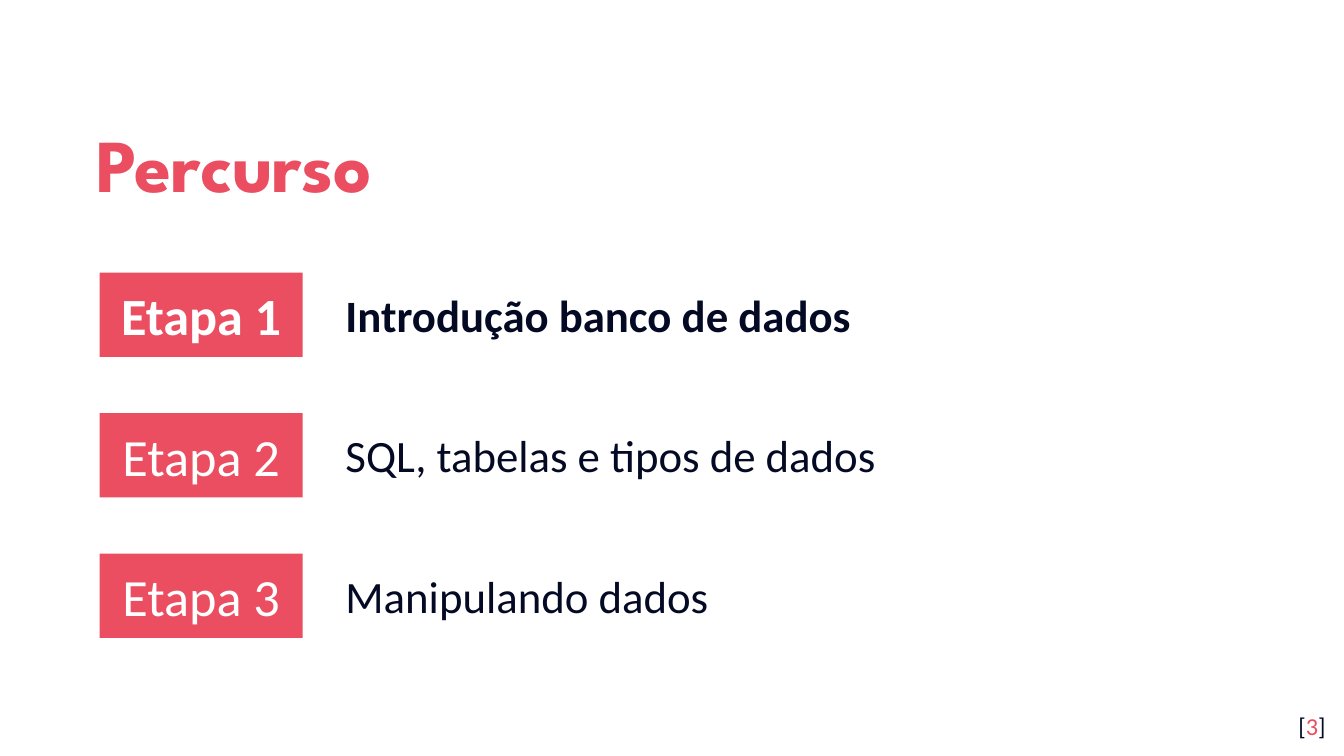
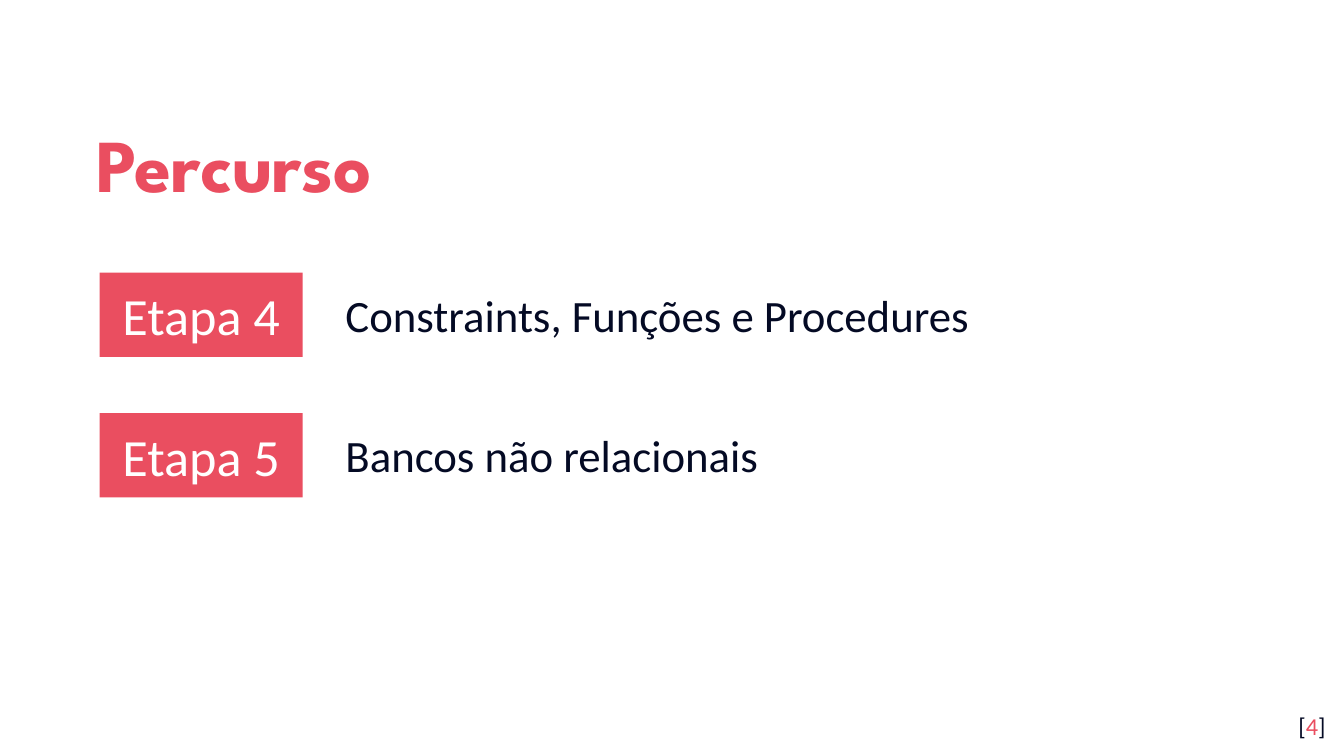
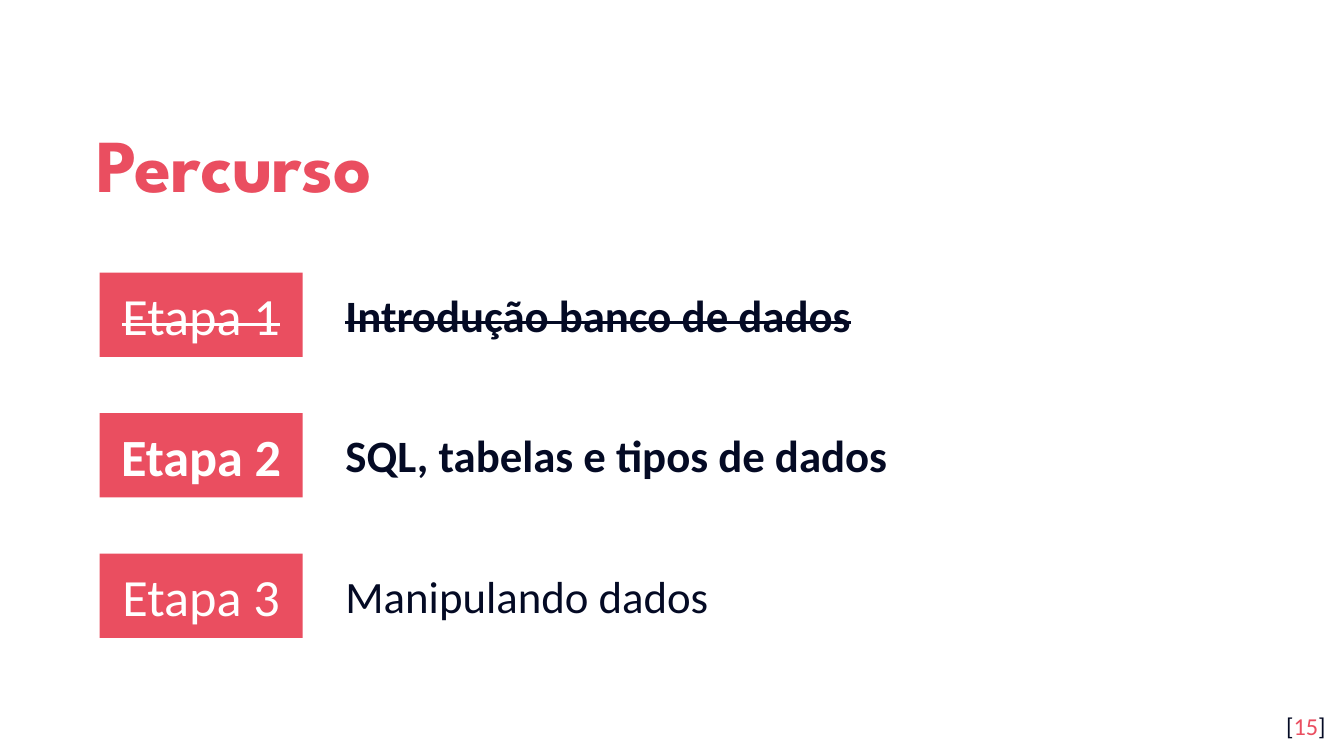
from collections import namedtuple

from pptx import Presentation
from pptx.dml.color import RGBColor
from pptx.enum import shapes, text
from pptx.util import Pt

CORAL, NAVY, WHITE = "EA4E60", "040A24", "FFFFFF"
BODY_FONT, TITLE_FONT = "Calibri", "League Spartan"
FIRST_ROW, ROW_PITCH = 146, 75.3

Step = namedtuple("Step", "number topic width bold_badge bold_topic strike",
                  defaults=(486, False, False, False))

SLIDES = [
    (3, [Step(1, "Introdução banco de dados", bold_badge=True, bold_topic=True),
         Step(2, "SQL, tabelas e tipos de dados", 511),
         Step(3, "Manipulando dados")]),
    (4, [Step(4, "Constraints, Funções e Procedures", 525.6),
         Step(5, "Bancos não relacionais", 511)]),
    (15, [Step(1, "Introdução banco de dados", bold_topic=True, strike=True),
          Step(2, "SQL, tabelas e tipos de dados", 511, bold_badge=True, bold_topic=True),
          Step(3, "Manipulando dados")]),
]


def rgb(color):
    """Turn a hex string into a colour."""
    return RGBColor.from_string(color)


def style(span, size, color, font=BODY_FONT, bold=False, strike=False):
    """Format one run of text."""
    span.font.size = Pt(size)
    span.font.name = font
    span.font.bold = bold
    span.font.color.rgb = rgb(color)
    if strike:
        span._r.get_or_add_rPr().set("strike", "sngStrike")


def set_frame(box, anchor, vertical_inset=7.2):
    """Set wrapping, insets and anchor, and return the first paragraph."""
    frame = box.text_frame
    frame.word_wrap = True
    frame.vertical_anchor = anchor
    frame.margin_left = frame.margin_right = Pt(7.2)
    frame.margin_top = frame.margin_bottom = Pt(vertical_inset)
    return frame.paragraphs[0]


def add_text_box(page, left, top, width, height):
    """Add an empty text box."""
    return page.shapes.add_textbox(Pt(left), Pt(top), Pt(width), Pt(height))


def add_title(page, title):
    """Add the slide title."""
    box = add_text_box(page, 44.6, 50.4, 583.2, 66.2)
    para = set_frame(box, text.MSO_ANCHOR.MIDDLE)
    para.text = title
    para.line_spacing = 1.15
    style(para.runs[0], 40, CORAL, TITLE_FONT, bold=True)


def add_badge(page, top, step):
    """Add the coloured rectangle that names a step."""
    badge = page.shapes.add_shape(shapes.MSO_SHAPE.RECTANGLE,
                                  Pt(53.4), Pt(top), Pt(108.7), Pt(45.2))
    badge.shadow.inherit = False
    badge.fill.solid()
    badge.fill.fore_color.rgb = rgb(CORAL)
    badge.line.fill.background()
    para = set_frame(badge, text.MSO_ANCHOR.MIDDLE)
    para.text = f"Etapa {step.number}"
    para.alignment = text.PP_ALIGN.CENTER
    style(para.runs[0], 28, WHITE, bold=step.bold_badge, strike=step.strike)


def add_topic(page, top, step):
    """Add the topic beside a badge, with a hanging indent."""
    box = add_text_box(page, 178, top, step.width, 36)
    para = set_frame(box, text.MSO_ANCHOR.TOP, 3.6)
    para.text = step.topic
    properties = para._p.get_or_add_pPr()
    properties.set("marL", str(Pt(36)))
    properties.set("indent", str(Pt(-36)))
    style(para.runs[0], 24, NAVY, bold=step.bold_topic, strike=step.strike)


def add_page_number(page, number):
    """Add the bracketed page number."""
    box = add_text_box(page, 674, 373.7, 43.2, 31)
    para = set_frame(box, text.MSO_ANCHOR.TOP)
    para.alignment = text.PP_ALIGN.RIGHT
    for part, color in (("[", NAVY), (str(number), CORAL), ("]", NAVY)):
        span = para.add_run()
        span.text = part
        style(span, 13, color)


def add_roadmap(deck, number, steps):
    """Add one roadmap slide with its steps in equal rows."""
    page = deck.slides.add_slide(deck.slide_layouts[6])
    page.background.fill.solid()
    page.background.fill.fore_color.rgb = rgb(WHITE)
    add_title(page, "Percurso")
    for row, step in enumerate(steps):
        top = FIRST_ROW + row * ROW_PITCH
        add_badge(page, top, step)
        add_topic(page, top + 4.4, step)
    add_page_number(page, number)


def main():
    """Build and save the deck."""
    deck = Presentation()
    deck.slide_width, deck.slide_height = Pt(720), Pt(405)
    for number, steps in SLIDES:
        add_roadmap(deck, number, steps)
    deck.save("out.pptx")


main()
